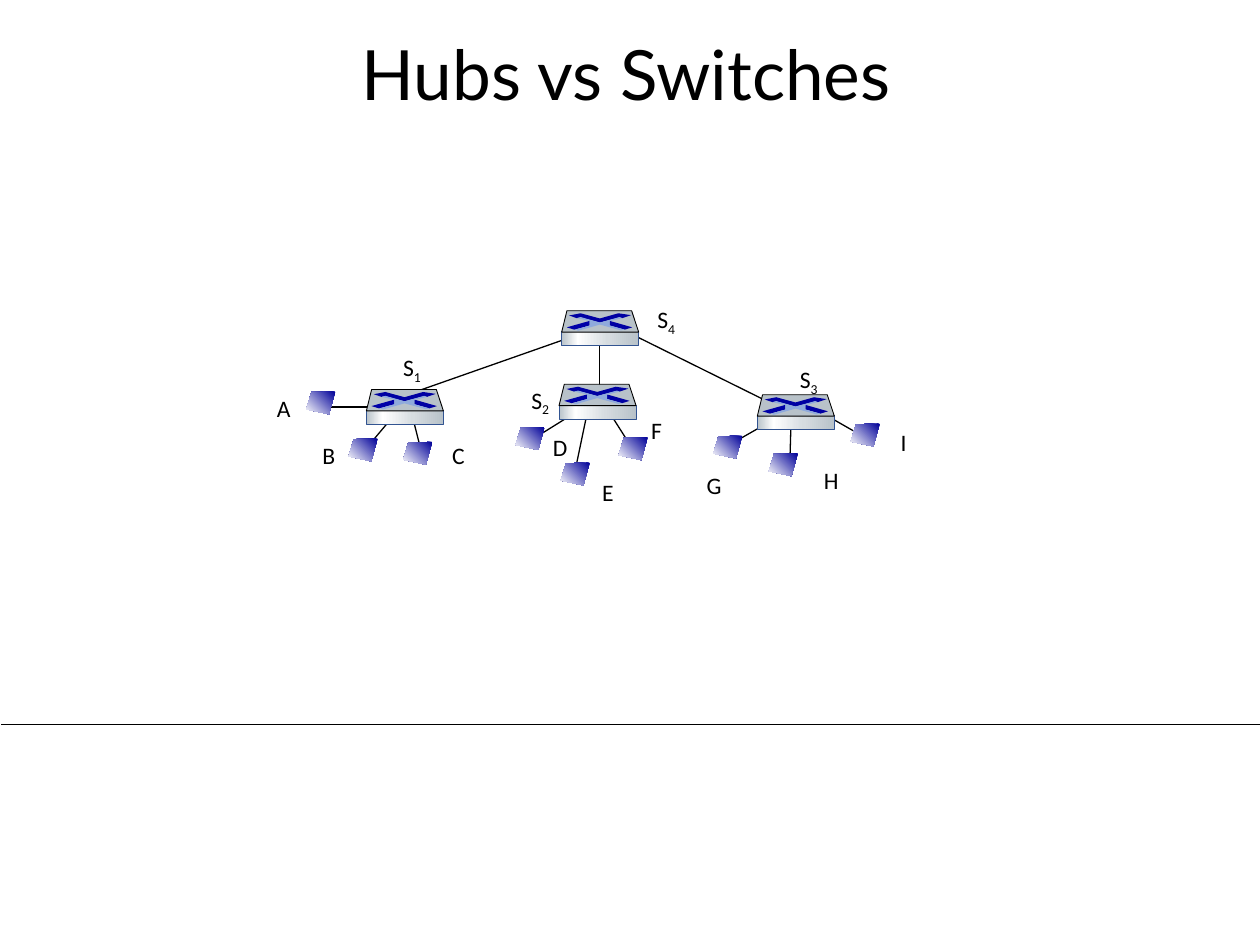
from lxml.etree import SubElement
from pptx import Presentation
from pptx.dml.color import RGBColor
from pptx.enum.shapes import MSO_CONNECTOR, MSO_SHAPE
from pptx.enum.text import MSO_ANCHOR, MSO_AUTO_SIZE, PP_ALIGN
from pptx.oxml.ns import qn
from pptx.util import Pt

THEME = {
    "title_font": "Lato", "title_size": 39.6,
    "label_font": "Calibri", "label_size": 13.5,
    "ink": "000000", "lid": "B8C2C9", "box_edge": "325491",
    "arrow": "0000A3", "left_arrow": "0000A8", "cross": "8FAADC",
    "host_stops": [(0, "000099"), (100, "FFFFFF")],
    "box_stops": [(0, "B8C2C9"), (21, "FFFFFF"), (60, "D6DCE0"), (100, "B8C2C9")],
}

TITLE = "Hubs vs Switches"

# number: (switch left and top, label left and top)
SWITCHES = {
    "4": ((321, 177.6), (368.6, 170.6)),
    "3": ((432.8, 225.6), (450, 205.2)),
    "2": ((319.5, 219.6), (296.6, 216.7)),
    "1": ((209.4, 222.6), (223.2, 198)),
}

# name: (host left and top, label left and top, link start, link end)
HOSTS = {
    "A": ((175, 223.7), (151.2, 221.8), (220.3, 232.6), (187.9, 232.6)),
    "B": ((199.2, 250.6), (177.1, 248.4), (226.8, 235.4), (211, 254.2)),
    "C": ((230.4, 252.5), (223.2 + 28.1, 248.4), (235.4, 236.9), (239.8, 254.2)),
    "D": ((294.6, 244.1), (308.9, 244.1), (330.5, 234.7), (309.6, 247.7)),
    "E": ((320.4, 264.4), (337, 269.3), (335.5, 236.2), (328.3, 270.7)),
    "F": ((353.5, 249.9), (365, 234), (346.3, 232.6), (360, 254.2)),
    "G": ((407.6, 249), (396.7, 265.7), (447.1, 236.9), (421.9, 251.3)),
    "H": ((439.3, 259.1), (463.7, 262.8), (452.2, 235.4), (451.4, 262.8)),
    "I": ((486.1, 242.1), (507.6, 241.2), (473.8, 238.3), (490.3, 247.7)),
}

UPLINKS = [
    ((325.4, 193), (235.4, 224.6)),
    ((342.7, 190.8), (342.7, 226.1)),
    ((440.6, 230.4), (357.8, 189.4)),
]

# Outlines relative to the left and top of their symbol
HOST_OUTLINE = [(16.6, 0), (3, 0.3), (0, 10.2), (13, 13)]
LID = [(0, 12.2), (3, 0), (40, 0), (44, 12.2)]
UPPER_ARROWS = [(32.4, 1.4), (39.6, 2.5), (34.6, 4.2), (33, 3.7), (21.8, 6.7),
                (10.8, 3.7), (8.6, 4.2), (4.2, 2.7), (10.8, 1.4), (21.8, 4.4)]
RIGHT_ARROW = [(27.4, 5.8), (40.3, 9.5), (36, 10.8), (27.4, 8.4)]
LEFT_ARROW = [(16, 5.8), (16, 8.4), (7.2, 10.8), (2.9, 9.5)]
CROSS = [(8.6, 4.2), (10.8, 3.6), (21.8, 6.7), (33, 3.6), (34.6, 4.2),
         (27.4, 5.9), (27.4, 8.4), (36, 10.8), (33.8, 11.2), (21.8, 7.9),
         (9.4, 11.4), (7.9, 10.8), (16, 8.5), (16, 5.8)]


def rgb(name):
    return RGBColor.from_string(THEME.get(name, name))


def fill_gradient(shape, stops, angle):
    """Fill with (percent, colour) stops; angle runs counter-clockwise."""
    shape.fill.gradient()
    shape.fill.gradient_angle = angle
    stop_list = shape.element.spPr.find(".//" + qn("a:gsLst"))
    for old_stop in list(stop_list):
        stop_list.remove(old_stop)
    for percent, colour in stops:
        stop = SubElement(stop_list, qn("a:gs"), pos=str(percent * 1000))
        SubElement(stop, qn("a:srgbClr"), val=colour)


def set_line(shape, colour=None, width=0.5):
    if colour is None:
        shape.line.fill.background()
        return
    shape.line.color.rgb = rgb(colour)
    shape.line.width = Pt(width)


def add_line(slide, start, end, width=0.75):
    line = slide.shapes.add_connector(
        MSO_CONNECTOR.STRAIGHT, *(Pt(value) for value in (*start, *end)))
    set_line(line, "ink", width)
    SubElement(line.element.spPr, qn("a:effectLst"))


def add_outline(slide, origin, outline, fill=None, edge=None):
    left, top = origin
    points = [(Pt(left + x), Pt(top + y)) for x, y in outline]
    builder = slide.shapes.build_freeform(*points[0])
    builder.add_line_segments(points[1:], close=True)
    shape = builder.convert_to_shape()
    shape.shadow.inherit = False
    if fill:
        shape.fill.solid()
        shape.fill.fore_color.rgb = rgb(fill)
    set_line(shape, edge)
    return shape


def add_label(slide, origin, text, subscript=""):
    width = 25.2 if subscript else 22
    box = slide.shapes.add_textbox(*(Pt(v) for v in (*origin, width, 23.8)))
    frame = box.text_frame
    frame.word_wrap = False
    frame.auto_size = MSO_AUTO_SIZE.SHAPE_TO_FIT_TEXT
    para = frame.paragraphs[0]
    para.font.name = THEME["label_font"]
    para.font.size = Pt(THEME["label_size"])
    para.font.color.rgb = rgb("ink")
    para.add_run().text = text
    if subscript:
        span = para.add_run()
        span.text = subscript
        span.font._element.set("baseline", "-25000")


def add_switch(slide, origin):
    left, top = origin
    box = slide.shapes.add_shape(
        MSO_SHAPE.RECTANGLE, Pt(left), Pt(top + 12), Pt(44), Pt(8))
    box.shadow.inherit = False
    fill_gradient(box, THEME["box_stops"], 0)
    set_line(box, "box_edge")
    add_outline(slide, origin, LID, "lid", "ink")
    add_outline(slide, origin, UPPER_ARROWS, "arrow")
    add_outline(slide, origin, RIGHT_ARROW, "arrow")
    add_outline(slide, origin, LEFT_ARROW, "left_arrow")
    add_outline(slide, origin, CROSS, "cross")


def add_title(slide):
    title = slide.shapes.title
    title.left, title.top, title.width, title.height = (
        Pt(47.5), Pt(18), Pt(620.6), Pt(52.6))
    title.text_frame.text = TITLE
    title.text_frame.vertical_anchor = MSO_ANCHOR.MIDDLE
    para = title.text_frame.paragraphs[0]
    para.alignment = PP_ALIGN.CENTER
    para.line_spacing = 0.9
    para.font.name = THEME["title_font"]
    para.font.size = Pt(THEME["title_size"])
    para.font.color.rgb = rgb("ink")


def main():
    deck = Presentation()
    deck.slide_width, deck.slide_height = Pt(720), Pt(540)
    slide = deck.slides.add_slide(deck.slide_layouts[5])
    add_title(slide)
    add_line(slide, (0.7, 414), (720, 414), 0.5)
    for start, end in UPLINKS:
        add_line(slide, start, end)
    for name, (origin, label_at, start, end) in HOSTS.items():
        add_line(slide, start, end)
        host = add_outline(slide, origin, HOST_OUTLINE)
        fill_gradient(host, THEME["host_stops"], 225)
        add_label(slide, label_at, name)
    for number, (origin, label_at) in SWITCHES.items():
        add_switch(slide, origin)
        add_label(slide, label_at, "S", number)
    deck.save("out.pptx")


if __name__ == "__main__":
    main()
